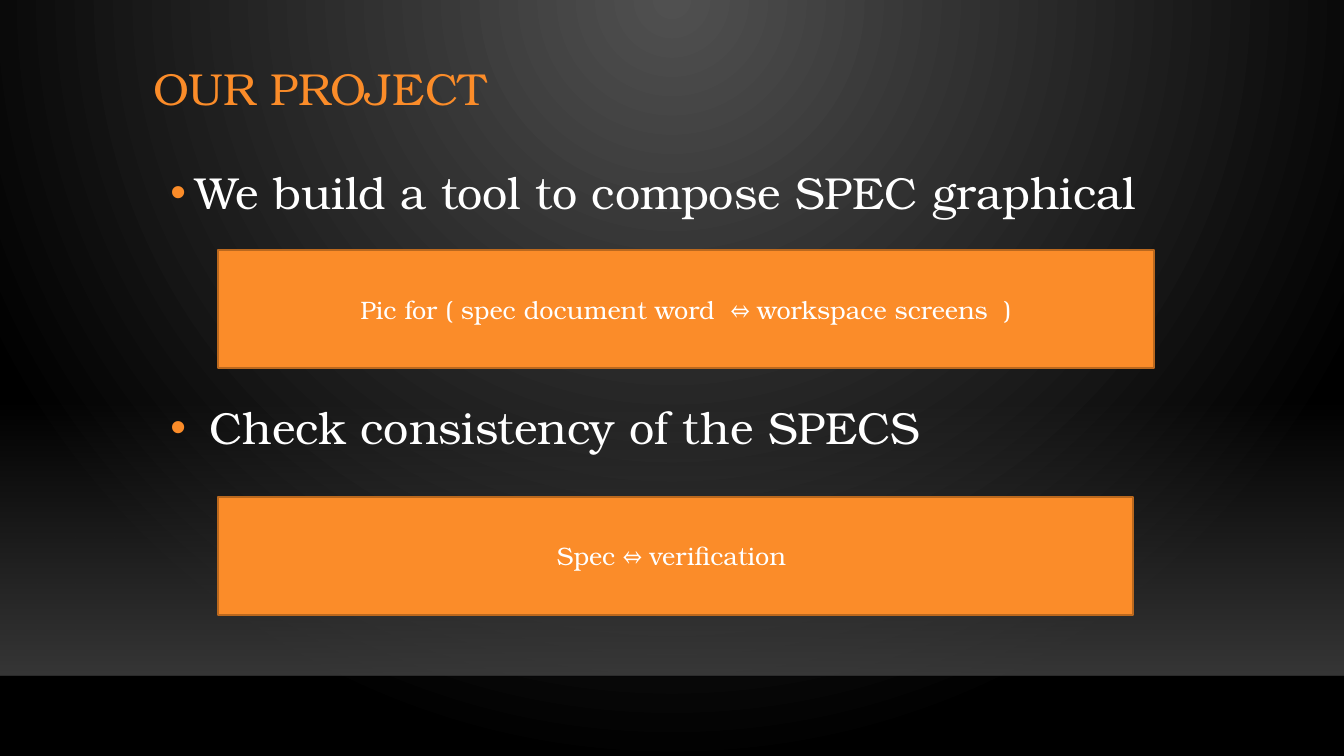
import pptx
import pptx.dml.color
import pptx.enum.shapes
import pptx.enum.text
import pptx.oxml
import pptx.oxml.ns
import pptx.util

WIDTH, HEIGHT = pptx.util.Inches(13.33), pptx.util.Inches(7.5)
FONT = "TeX Gyre Bonum"
ORANGE, RUST, WHITE = "FB8C29", "BA681E", "FFFFFF"
ALIGN = pptx.enum.text.PP_ALIGN
ANCHOR = pptx.enum.text.MSO_ANCHOR


def color(value):
    """Turn a hex string into a colour."""
    return pptx.dml.color.RGBColor.from_string(value)


def xml(markup):
    """Parse one drawing element whose name opens the markup."""
    name, rest = markup.split(" ", 1)
    return pptx.oxml.parse_xml(f"<{name} {pptx.oxml.ns.nsdecls('a')} {rest}")


def grid(*cells):
    """Convert x, y pairs on a grid of 100 columns and 100 rows to lengths."""
    return [int(c * (HEIGHT if i % 2 else WIDTH) / 100) for i, c in enumerate(cells)]


def set_format(obj, values):
    """Set each attribute named in a dict."""
    for name, value in values.items():
        setattr(obj, name, value)


def set_gradient(fill, owner, stops, shade):
    """Fill with stops of position, colour and opacity in percent."""
    fill.gradient()
    marks = "".join(
        f'<a:gs pos="{pos * 1000}"><a:srgbClr val="{value}">'
        f'<a:alpha val="{alpha * 1000}"/></a:srgbClr></a:gs>'
        for pos, value, alpha in stops)
    old = owner.xpath(".//a:gradFill")[0]
    new = xml(f'a:gradFill rotWithShape="1"><a:gsLst>{marks}</a:gsLst>{shade}</a:gradFill>')
    old.getparent().replace(old, new)


def add_paragraph(p, text, size, value, **layout):
    """Write one formatted paragraph."""
    set_format(p, layout)
    r = p.add_run()
    r.text = text
    set_format(r.font, {"name": FONT, "size": pptx.util.Pt(size)})
    r.font.color.rgb = color(value)


def add_bullet(p):
    """Give a paragraph an orange bullet with a hanging indent."""
    pPr = p._p.get_or_add_pPr()
    indent = pptx.util.Inches(0.25)
    pPr.set("marL", str(indent))
    pPr.set("indent", str(-indent))
    for markup in (f'a:buClr ><a:srgbClr val="{ORANGE}"/></a:buClr>',
                   'a:buFont typeface="Arial"/>',
                   'a:buChar char="•"/>'):
        pPr.append(xml(markup))


def add_text(s, cells, anchor):
    """Add a wrapping text box and return its frame."""
    tf = s.shapes.add_textbox(*grid(*cells)).text_frame
    set_format(tf, {"word_wrap": True, "vertical_anchor": anchor})
    return tf


def add_rect(s, cells):
    """Add a rectangle without a shadow."""
    sp = s.shapes.add_shape(pptx.enum.shapes.MSO_SHAPE.RECTANGLE, *grid(*cells))
    sp.shadow.inherit = False
    return sp


def add_box(s, cells, text):
    """Add an orange box with a centred label."""
    sp = add_rect(s, cells)
    sp.fill.solid()
    sp.fill.fore_color.rgb = color(ORANGE)
    sp.line.color.rgb = color(RUST)
    sp.line.width = pptx.util.Pt(1.25)
    tf = sp.text_frame
    set_format(tf, {"word_wrap": True, "vertical_anchor": ANCHOR.MIDDLE})
    add_paragraph(tf.paragraphs[0], text, 18, WHITE, alignment=ALIGN.CENTER)


def add_backdrop(s):
    """Draw the dark glow, the floor band and its edge."""
    set_gradient(s.background.fill, s._element,
                 [(0, "505050", 100), (100, "000000", 100)],
                 '<a:path path="circle"><a:fillToRect l="43000" t="0" '
                 'r="43000" b="100000"/></a:path>')
    band = add_rect(s, (0, 52.8, 100, 36.6))
    set_gradient(band.fill, band._element,
                 [(0, "454545", 0), (100, "454545", 80)],
                 '<a:lin ang="5400000" scaled="0"/>')
    band.line.fill.background()
    edge = s.shapes.add_connector(pptx.enum.shapes.MSO_CONNECTOR.STRAIGHT,
                                  *grid(0, 89.4, 100, 89.4))
    edge.line.color.rgb = color("000001")
    edge.line.width = pptx.util.Pt(1)
    edge._element.xpath(".//a:ln//a:srgbClr")[0].append(xml('a:alpha val="20000"/>'))
    edge._element.spPr.append(xml("a:effectLst />"))


def main():
    """Build the slide and save it."""
    prs = pptx.Presentation()
    set_format(prs, {"slide_width": WIDTH, "slide_height": HEIGHT})
    s = prs.slides.add_slide(prs.slide_layouts[6])
    add_backdrop(s)

    title = add_text(s, (10.65, 4.4, 78.77, 15.33), ANCHOR.MIDDLE)
    add_paragraph(title.paragraphs[0], "OUR PROJECT", 32, ORANGE, line_spacing=0.9)

    body = add_text(s, (11.93, 19.73, 76.22, 60), ANCHOR.TOP)
    points = [("We build a tool to compose SPEC graphical", 10),
              (" Check consistency of the SPECS", 122)]
    for i, (text, gap) in enumerate(points):
        p = body.add_paragraph() if i else body.paragraphs[0]
        add_paragraph(p, text, 32, WHITE, line_spacing=1.2,
                      space_before=pptx.util.Pt(gap))
        add_bullet(p)

    boxes = [(33.07, 69.69, "Pic for ( spec document word  ⇔ workspace screens  )"),
             (65.73, 68.12, "Spec ⇔ verification ")]
    for top, width, text in boxes:
        add_box(s, (16.2, top, width, 15.6), text)
    prs.save("out.pptx")


if __name__ == "__main__":
    main()
